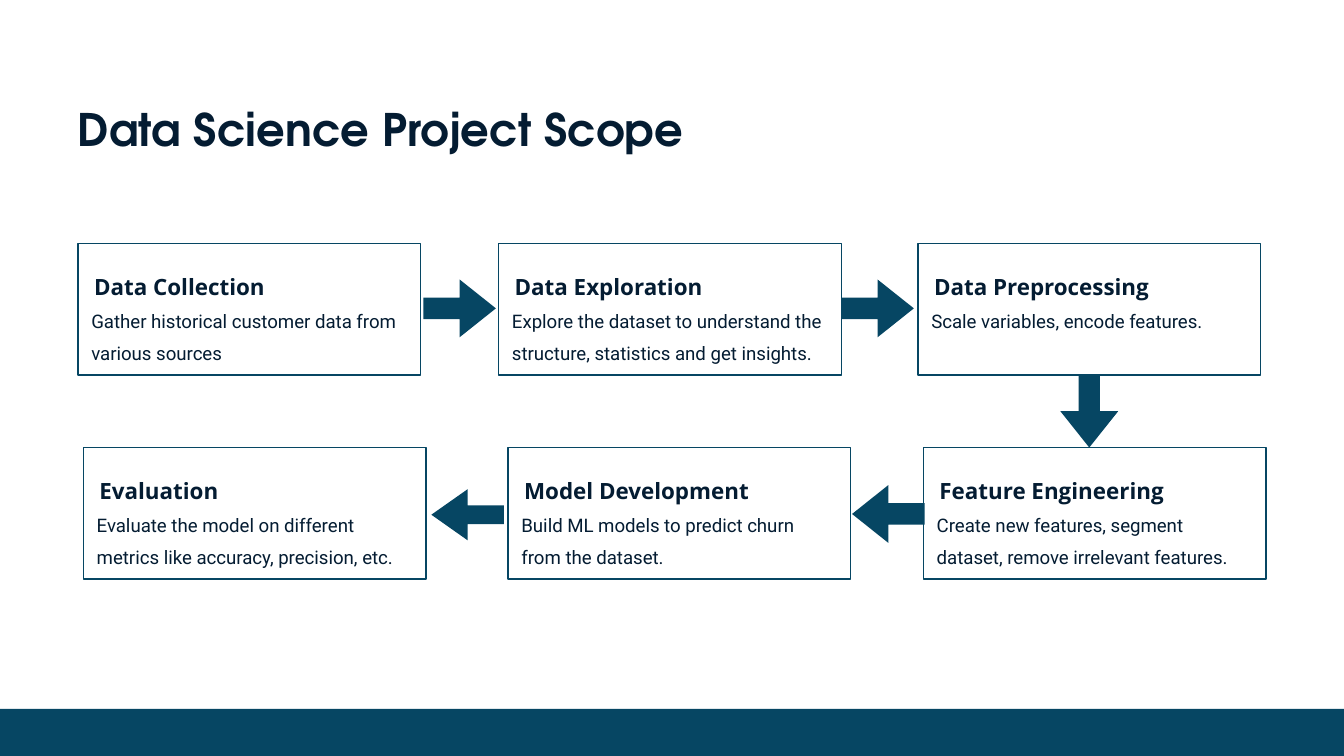
from pptx import Presentation
from pptx.dml.color import RGBColor
from pptx.enum.shapes import MSO_SHAPE as Shape
from pptx.util import Inches, Pt

TEAL, NAVY, WHITE = "064663", "041C32", "FFFFFF"
SLIDE_W = 10
SLIDE_H = SLIDE_W * 9 / 16
BOX_W, BOX_H = 2.55, 0.98
FOOTER_H = 0.35

TITLE = "Data Science Project Scope"
TITLE_STYLE = dict(name="TeX Gyre Adventor", size=Pt(24), bold=True)
HEADING_STYLE = dict(name="Open Sans", size=Pt(12), bold=True)
DETAIL_STYLE = dict(name="Roboto", size=Pt(10), bold=False)

# left, top, heading, detail
STEPS = [
    (0.58, 1.81, "Data Collection",
     "Gather historical customer data from various sources"),
    (3.71, 1.81, "Data Exploration",
     "Explore the dataset to understand the structure, statistics and get insights."),
    (6.83, 1.81, "Data Preprocessing", "Scale variables, encode features."),
    (6.87, 3.33, "Feature Engineering",
     "Create new features, segment dataset, remove irrelevant features."),
    (3.78, 3.33, "Model Development",
     "Build ML models to predict churn from the dataset."),
    (0.62, 3.33, "Evaluation",
     "Evaluate the model on different metrics like accuracy, precision, etc."),
]

# direction, left, top, width, height
ARROWS = [
    (Shape.RIGHT_ARROW, 3.15, 2.08, 0.54, 0.43),
    (Shape.RIGHT_ARROW, 6.26, 2.08, 0.54, 0.43),
    (Shape.DOWN_ARROW, 7.89, 2.79, 0.43, 0.54),
    (Shape.LEFT_ARROW, 6.34, 3.61, 0.54, 0.43),
    (Shape.LEFT_ARROW, 3.21, 3.64, 0.54, 0.38),
]
SHAFT_SHARE, HEAD_LENGTH = 0.37, 0.27


def color(hex_value):
    return RGBColor.from_string(hex_value)


def add_block(slide, kind, left, top, width, height, fill, outline=None):
    block = slide.shapes.add_shape(
        kind, Inches(left), Inches(top), Inches(width), Inches(height))
    block.shadow.inherit = False
    block.fill.solid()
    block.fill.fore_color.rgb = color(fill)
    if outline:
        block.line.color.rgb = color(outline)
        block.line.width = Pt(0.75)
    else:
        block.line.fill.background()
    return block


def add_text(slide, text, left, top, width, height, spacing, style):
    frame = slide.shapes.add_textbox(
        Inches(left), Inches(top), Inches(width), Inches(height)).text_frame
    frame.word_wrap = True
    for side in ("left", "top", "right", "bottom"):
        setattr(frame, f"margin_{side}", 0)
    paragraph = frame.paragraphs[0]
    paragraph.line_spacing = spacing
    run = paragraph.add_run()
    run.text = text
    for attribute, value in style.items():
        setattr(run.font, attribute, value)
    run.font.color.rgb = color(NAVY)


def add_step(slide, left, top, heading, detail):
    add_block(slide, Shape.RECTANGLE, left, top, BOX_W, BOX_H, WHITE, TEAL)
    add_text(slide, heading, left + 0.12, top + 0.12, 2.3, 0.2, 1.5, HEADING_STYLE)
    add_text(slide, detail, left + 0.1, top + 0.43, 2.34, 0.4, 1.4, DETAIL_STYLE)


def add_arrow(slide, direction, left, top, width, height):
    arrow = add_block(slide, direction, left, top, width, height, TEAL)
    arrow.adjustments[0] = SHAFT_SHARE
    arrow.adjustments[1] = HEAD_LENGTH / min(width, height)


def main():
    deck = Presentation()
    deck.slide_width, deck.slide_height = Inches(SLIDE_W), Inches(SLIDE_H)
    slide = deck.slides.add_slide(deck.slide_layouts[6])
    slide.background.fill.solid()
    slide.background.fill.fore_color.rgb = color(WHITE)

    add_text(slide, TITLE, 0.58, 0.6, 6.05, 0.4, 1.4, TITLE_STYLE)
    for step in STEPS:
        add_step(slide, *step)
    for arrow in ARROWS:
        add_arrow(slide, *arrow)
    add_block(slide, Shape.RECTANGLE, 0, SLIDE_H - FOOTER_H, SLIDE_W, FOOTER_H, TEAL)
    deck.save("out.pptx")


if __name__ == "__main__":
    main()
